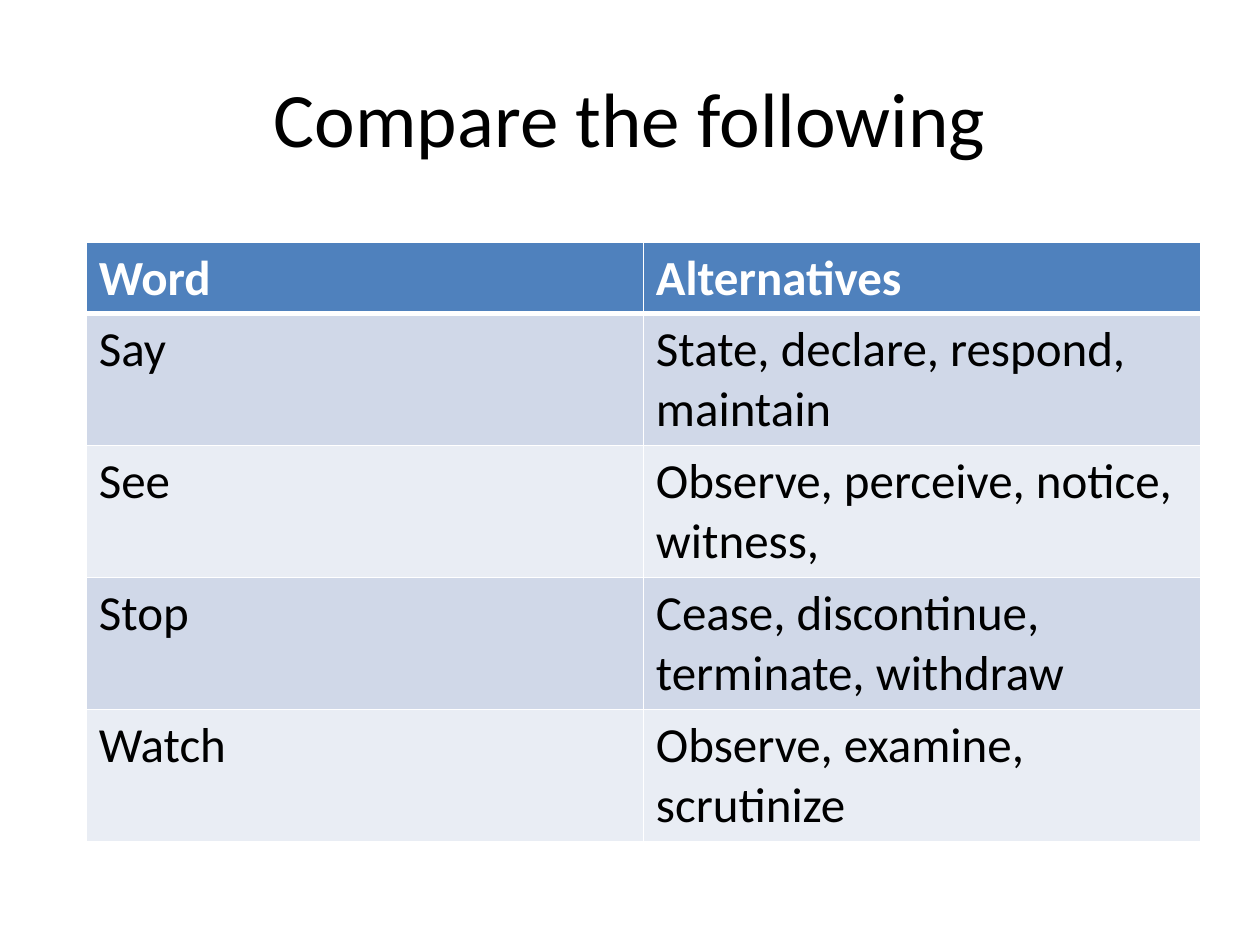
from dataclasses import dataclass

import pptx
import pptx.dml.color
import pptx.enum.text
import pptx.oxml
import pptx.oxml.ns
import pptx.util

Cm = pptx.util.Cm
Pt = pptx.util.Pt
RGBColor = pptx.dml.color.RGBColor

BLACK = RGBColor(0x00, 0x00, 0x00)
WHITE = RGBColor(0xFF, 0xFF, 0xFF)
HEADER_BLUE = RGBColor(0x4F, 0x81, 0xBD)
BAND_DARK = RGBColor(0xD0, 0xD8, 0xE8)
BAND_LIGHT = RGBColor(0xE9, 0xED, 0xF4)
FONT = "Calibri"


@dataclass(frozen=True)
class WordRow:
    """One table row: a plain word and its stronger alternatives."""
    word: str
    alternatives: str


HEADER = WordRow("Word", "Alternatives")
WORDS = [
    WordRow("Say", "State, declare, respond, maintain"),
    WordRow("See", "Observe, perceive, notice, witness, "),
    WordRow("Stop", "Cease, discontinue, terminate, withdraw"),
    WordRow("Watch", "Observe, examine, scrutinize"),
]


def write(p, text: str, size: int, color: RGBColor, bold: bool = False) -> None:
    """Add one formatted run to a paragraph."""
    r = p.add_run()
    r.text = text
    for name, value in {"name": FONT, "size": Pt(size), "bold": bold}.items():
        setattr(r.font, name, value)
    r.font.color.rgb = color


def set_borders(cell, bottom: int) -> None:
    """Draw white cell borders, with the bottom width given in points."""
    props = cell._tc.get_or_add_tcPr()
    for i, (side, width) in enumerate({"L": 1, "R": 1, "T": 1, "B": bottom}.items()):
        props.insert(i, pptx.oxml.parse_xml(
            f'<a:ln{side} {pptx.oxml.ns.nsdecls("a")} w="{Pt(width)}">'
            f'<a:solidFill><a:srgbClr val="{WHITE}"/></a:solidFill></a:ln{side}>'))


def add_title(slide, text: str) -> None:
    """Add the centred slide title."""
    sp = slide.shapes.add_textbox(Cm(1.27), Cm(0.76), Cm(22.86), Cm(3.18))
    tf = sp.text_frame
    for name, value in {"word_wrap": True,
                        "vertical_anchor": pptx.enum.text.MSO_ANCHOR.MIDDLE}.items():
        setattr(tf, name, value)
    p = tf.paragraphs[0]
    p.alignment = pptx.enum.text.PP_ALIGN.CENTER
    write(p, text, 44, BLACK)


def add_word_table(slide, rows: list[WordRow]) -> None:
    """Add the table with a header row and banded body rows."""
    heights = [Cm(1.44)] + [Cm(2.66)] * (len(rows) - 1)
    table = slide.shapes.add_table(
        len(rows), 2, Cm(1.74), Cm(4.88), Cm(22.46), sum(heights)).table
    for i, (row, height) in enumerate(zip(rows, heights)):
        table.rows[i].height = height
        header = i == 0
        fill = HEADER_BLUE if header else BAND_DARK if i % 2 else BAND_LIGHT
        for j, text in enumerate((row.word, row.alternatives)):
            cell = table.cell(i, j)
            cell.fill.solid()
            cell.fill.fore_color.rgb = fill
            set_borders(cell, 3 if header else 1)
            write(cell.text_frame.paragraphs[0], text, 28,
                  WHITE if header else BLACK, header)


def main() -> None:
    """Build and save the slide."""
    prs = pptx.Presentation()
    prs.slide_width, prs.slide_height = Cm(25.4), Cm(19.05)
    slide = prs.slides.add_slide(prs.slide_layouts[6])
    add_title(slide, "Compare the following")
    add_word_table(slide, [HEADER, *WORDS])
    prs.save("out.pptx")


main()
